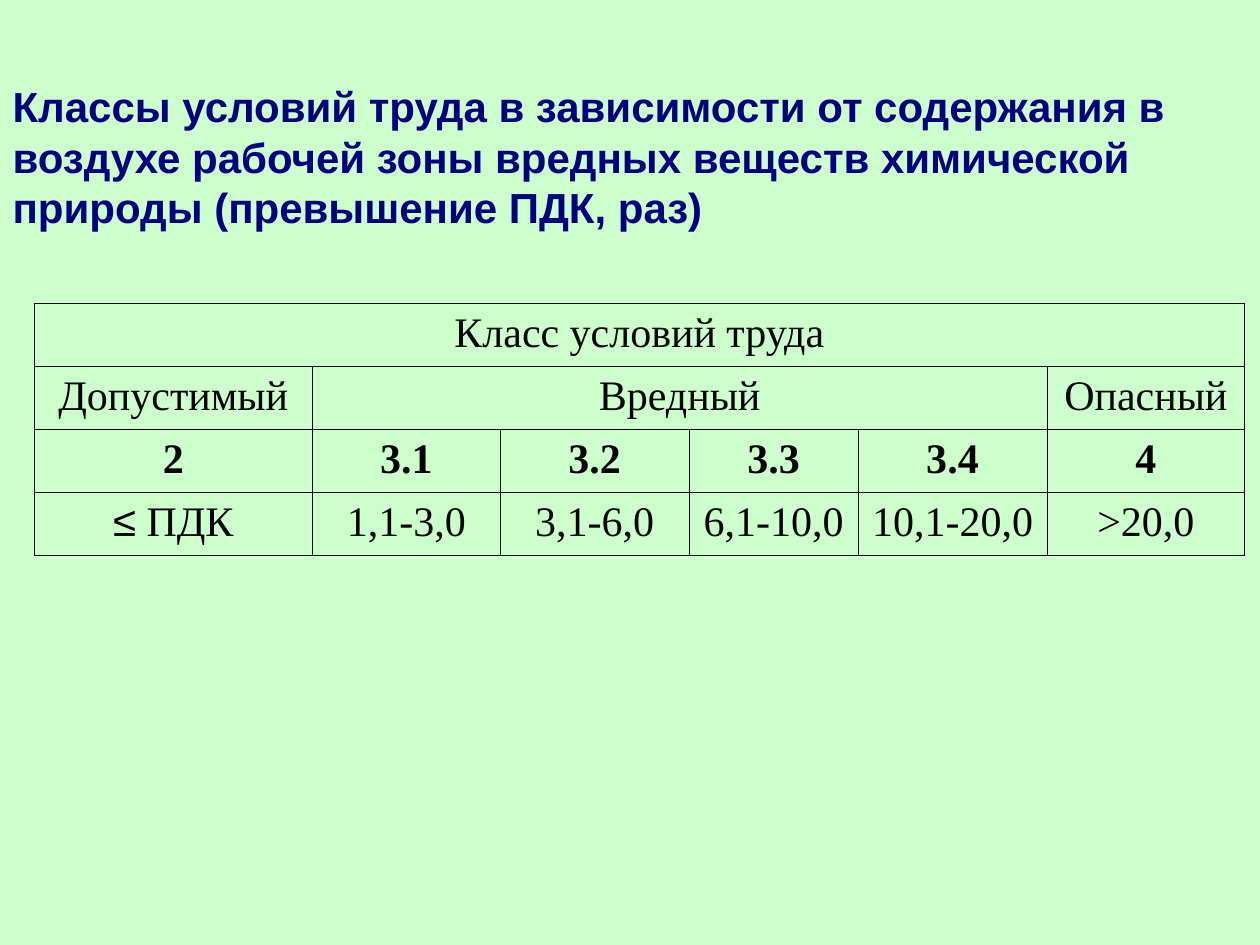
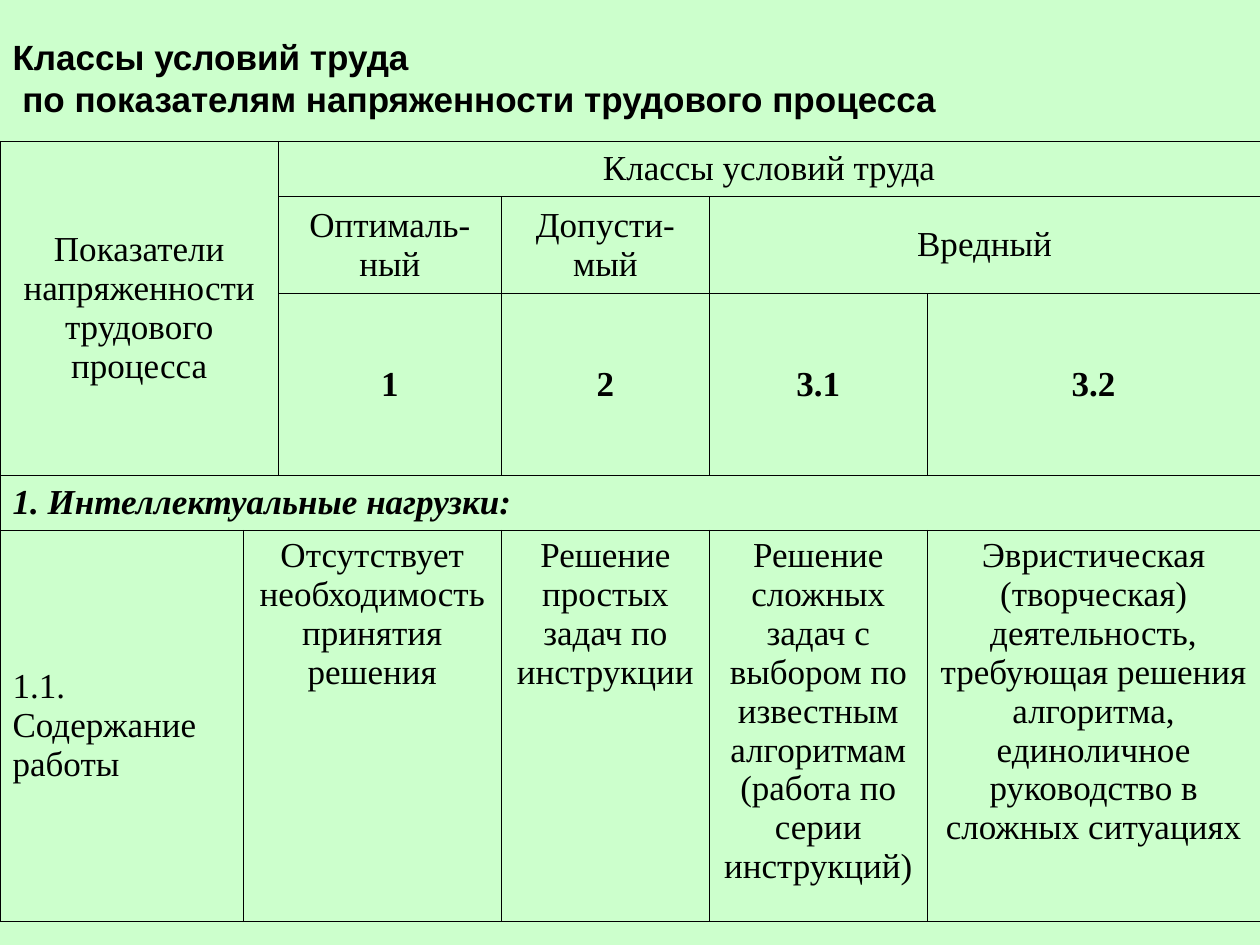
from dataclasses import dataclass

from lxml.etree import SubElement
from pptx import Presentation
from pptx.dml.color import RGBColor
from pptx.enum.text import MSO_ANCHOR, MSO_AUTO_SIZE, PP_ALIGN
from pptx.oxml.ns import qn
from pptx.util import Inches, Pt


class Theme:
    background = "CCFFCC"
    ink = "000000"
    navy = "000080"
    title_font = "Arial"
    table_font = "Times New Roman"
    large = 24
    normal = 20
    border = 0.45
    inset_x, inset_y = 0.1, 0.05


@dataclass
class Cell:
    text: str
    cols: int = 1
    rows: int = 1
    bold: bool = False
    italic: bool = False
    align: PP_ALIGN = PP_ALIGN.CENTER
    anchor: MSO_ANCHOR = MSO_ANCHOR.TOP
    symbol: str = ""  # leading sign set in the title font


TOP, MIDDLE, LEFT = MSO_ANCHOR.TOP, MSO_ANCHOR.MIDDLE, PP_ALIGN.LEFT


def cells(*texts, **style):
    return [Cell(text, **style) for text in texts]


# Each row maps a starting column to its cell; spans cover the columns between.
SLIDES = [
    dict(
        title=["Классы условий труда в зависимости от содержания в воздухе "
               "рабочей зоны вредных веществ химической природы "
               "(превышение ПДК, раз)"],
        title_box=(0, 0.59, 9.57, 1.3), title_anchor=MIDDLE,
        title_color=Theme.navy, size=Theme.large,
        origin=(0.27, 2.41),
        columns=[2.21, 1.49, 1.5, 1.34, 1.5, 1.57],
        heights=[0.5] * 4,
        rows=[
            {0: Cell("Класс условий труда", cols=6)},
            {0: Cell("Допустимый"), 1: Cell("Вредный", cols=4), 5: Cell("Опасный")},
            dict(enumerate(cells("2", "3.1", "3.2", "3.3", "3.4", "4", bold=True))),
            dict(enumerate([Cell(" ПДК", symbol="≤")] + cells(
                "1,1-3,0", "3,1-6,0", "6,1-10,0", "10,1-20,0", ">20,0"))),
        ],
    ),
    dict(
        title=["Классы условий труда",
               " по показателям напряженности трудового процесса"],
        title_box=(0, 0.23, 10, 0.8), title_anchor=TOP,
        title_color=Theme.ink, size=Theme.normal,
        origin=(0, 1.12),
        columns=[1.93, 0.28, 1.77, 1.65, 1.73, 2.64],
        heights=[0.44, 0.77, 1.44, 0.44, 3.1],
        rows=[
            {0: Cell("Показатели напряженности\nтрудового процесса",
                     cols=2, rows=3, anchor=MIDDLE),
             2: Cell("Классы условий труда", cols=4, anchor=MIDDLE)},
            {2: Cell("Оптималь-ный", anchor=MIDDLE),
             3: Cell("Допусти-мый", anchor=MIDDLE),
             4: Cell("Вредный", cols=2, anchor=MIDDLE)},
            dict(enumerate(cells("1", "2", "3.1", "3.2", bold=True, anchor=MIDDLE), 2)),
            {0: Cell("1. Интеллектуальные нагрузки:", cols=6, bold=True,
                     italic=True, align=LEFT, anchor=MIDDLE)},
            {0: Cell("1.1. Содержание работы", align=LEFT, anchor=MIDDLE),
             1: Cell("Отсутствует необходимость принятия решения", cols=2),
             3: Cell("Решение простых задач по инструкции"),
             4: Cell("Решение сложных задач с выбором по известным алгоритмам "
                     "(работа по серии инструкций)"),
             5: Cell("Эвристическая (творческая) деятельность, требующая решения "
                     "алгоритма, единоличное руководство в сложных ситуациях")},
        ],
    ),
]


def set_insets(frame):
    frame.margin_left = frame.margin_right = Inches(Theme.inset_x)
    frame.margin_top = frame.margin_bottom = Inches(Theme.inset_y)


def add_run(p, text, font, size, color=Theme.ink, bold=False, italic=False):
    r = p.add_run()
    r.text = text
    r.font.name, r.font.size = font, Pt(size)
    r.font.bold, r.font.italic = bold, italic
    r.font.color.rgb = RGBColor.from_string(color)


def paragraphs(tf, lines, align):
    for i, line in enumerate(lines):
        p = tf.add_paragraph() if i else tf.paragraphs[0]
        p.alignment = align
        yield p, line


def add_title(slide, spec_):
    sp = slide.shapes.title
    sp.left, sp.top, sp.width, sp.height = map(Inches, spec_["title_box"])
    tf = sp.text_frame
    tf.word_wrap, tf.auto_size = True, MSO_AUTO_SIZE.NONE
    tf.vertical_anchor = spec_["title_anchor"]
    set_insets(tf)
    for p, line in paragraphs(tf, spec_["title"], LEFT):
        add_run(p, line, Theme.title_font, spec_["size"], spec_["title_color"], bold=True)


def outline(cell):
    """Clear the cell's fill and draw its four borders."""
    cell.fill.background()
    tcPr = cell._tc.get_or_add_tcPr()
    for i, side in enumerate(("lnL", "lnR", "lnT", "lnB")):
        ln = SubElement(tcPr, qn(f"a:{side}"), w=str(Pt(Theme.border)))
        fill = SubElement(ln, qn("a:solidFill"))
        SubElement(fill, qn("a:srgbClr"), val=Theme.ink)
        tcPr.insert(i, ln)


def fill_cell(cell, content, size):
    set_insets(cell)
    cell.vertical_anchor = content.anchor
    for p, line in paragraphs(cell.text_frame, content.text.split("\n"), content.align):
        if content.symbol:
            add_run(p, content.symbol, Theme.title_font, size)
        add_run(p, line, Theme.table_font, size,
                bold=content.bold, italic=content.italic)


def add_class_table(slide, spec_):
    columns, heights = spec_["columns"], spec_["heights"]
    box = (*spec_["origin"], sum(columns), sum(heights))
    table = slide.shapes.add_table(len(heights), len(columns), *map(Inches, box)).table
    table.first_row = table.horz_banding = False
    for column, width in zip(table.columns, columns):
        column.width = Inches(width)
    for row, height in zip(table.rows, heights):
        row.height = Inches(height)
    for cell in table.iter_cells():
        outline(cell)
    for r, row in enumerate(spec_["rows"]):
        for c, content in row.items():
            cell = table.cell(r, c)
            if content.cols > 1 or content.rows > 1:
                cell.merge(table.cell(r + content.rows - 1, c + content.cols - 1))
            fill_cell(cell, content, spec_["size"])


def main():
    prs = Presentation()
    prs.slide_width, prs.slide_height = Inches(10), Inches(7.5)
    fill = prs.slide_master.background.fill
    fill.solid()
    fill.fore_color.rgb = RGBColor.from_string(Theme.background)
    title_only = prs.slide_layouts.get_by_name("Title Only")
    for spec_ in SLIDES:
        slide = prs.slides.add_slide(title_only)
        add_title(slide, spec_)
        add_class_table(slide, spec_)
    prs.save("out.pptx")


if __name__ == "__main__":
    main()
